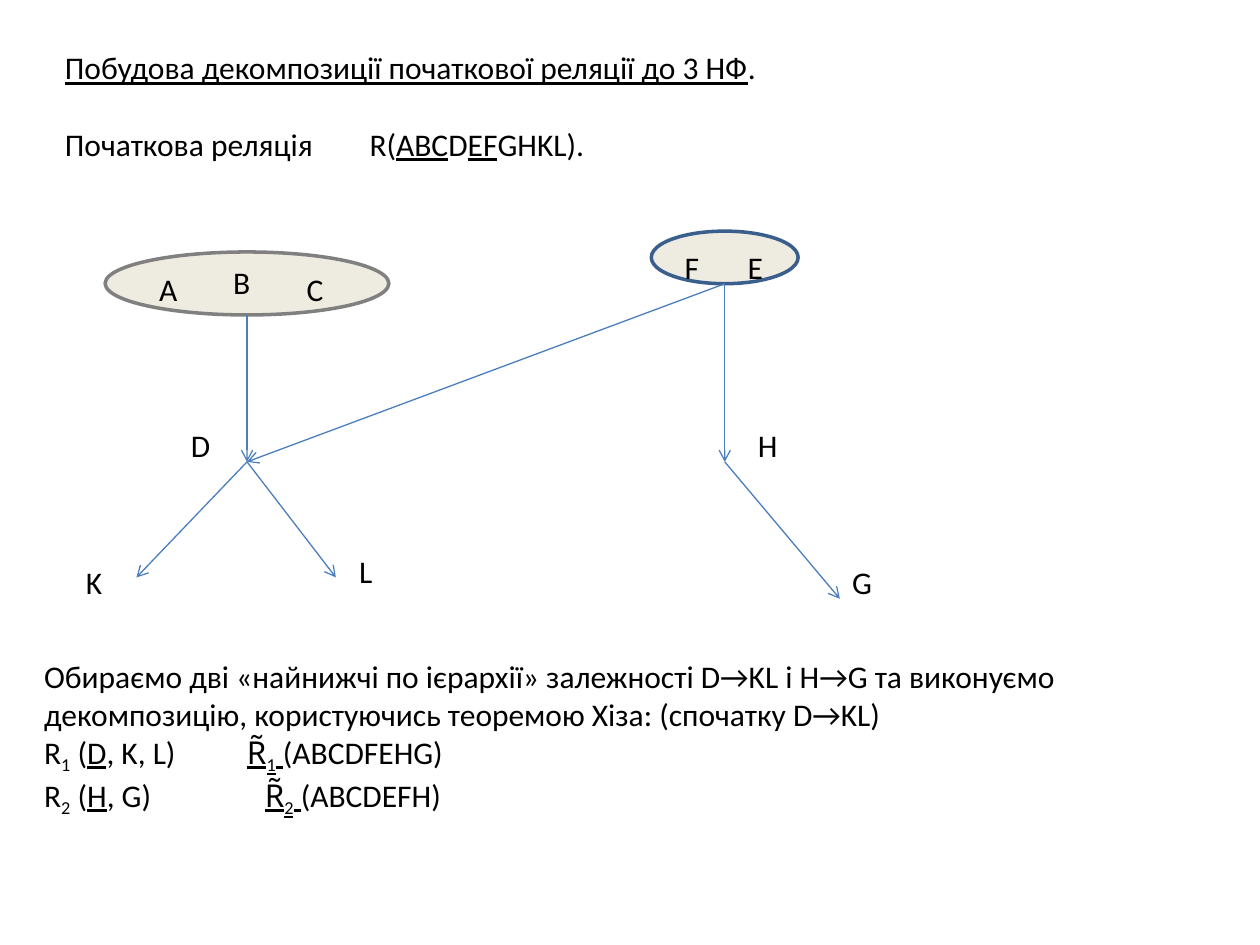
"""Builds the slide on decomposing a relation to the third normal form."""
from lxml.etree import SubElement
from pptx import Presentation
from pptx.dml.color import RGBColor
from pptx.enum.shapes import MSO_CONNECTOR as Connector, MSO_SHAPE as Shape
from pptx.enum.text import MSO_AUTO_SIZE as AutoSize
from pptx.oxml.ns import qn
from pptx.util import Cm, Pt

BLACK = RGBColor(0x00, 0x00, 0x00)
CREAM = RGBColor(0xEE, 0xEC, 0xE1)
GRAY = RGBColor(0x80, 0x80, 0x80)
NAVY = RGBColor(0x3A, 0x5F, 0x8C)
BLUE = RGBColor(0x4B, 0x7E, 0xBC)
FONT = {"name": "Calibri", "size": Pt(18)}

presentation = Presentation()
presentation.slide_width, presentation.slide_height = Cm(25.4), Cm(19.05)
slide = presentation.slides.add_slide(presentation.slide_layouts[6])


def add_text(left, top, width, height, paragraphs):
    box = slide.shapes.add_textbox(Cm(left), Cm(top), Cm(width), Cm(height))
    frame = box.text_frame
    frame.word_wrap = True
    frame.auto_size = AutoSize.SHAPE_TO_FIT_TEXT
    for index, (runs, space, tab) in enumerate(paragraphs):
        paragraph = frame.add_paragraph() if index else frame.paragraphs[0]
        paragraph.space_before = Pt(space)
        if tab:
            tabs = SubElement(paragraph._p.get_or_add_pPr(), qn("a:tabLst"))
            SubElement(tabs, qn("a:tab"), pos=str(Cm(tab)), algn="l")
        for text, style in runs:
            run = paragraph.add_run()
            run.text = text
            for name, value in FONT.items():
                setattr(run.font, name, value)
            run.font.color.rgb = BLACK
            if "underline" in style:
                run.font.underline = True
            if "subscript" in style:
                run.font._element.set("baseline", "-25000")


def decomposition(number, key, rest, remainder, tab):
    runs = [
        ("R", ""), (number, "subscript"), (" (", ""), (key, "underline"),
        (f"{rest})\t", ""), ("R\u0303", "underline"),
        (number, "underline subscript"), (" ", "underline"), (remainder, ""),
    ]
    return runs, 0, tab


title = [("Побудова декомпозиції початкової реляції до 3 НФ", "underline"), (".", "")]
relation = [
    ("Початкова реляція\tR(", ""), ("ABC", "underline"), ("D", ""),
    ("EF", "underline"), ("GHKL).", ""),
]
add_text(1.06, 0.85, 23.5, 2.56, [(title, 0, None), (relation, 22, 6.14)])

for left, top, width, height, color in [
    (2.12, 5.08, 5.72, 1.27, GRAY),
    (13.13, 4.66, 2.96, 1.06, NAVY),
]:
    key_ellipse = slide.shapes.add_shape(
        Shape.OVAL, Cm(left), Cm(top), Cm(width), Cm(height))
    key_ellipse.shadow.inherit = False
    key_ellipse.fill.solid()
    key_ellipse.fill.fore_color.rgb = CREAM
    key_ellipse.line.color.rgb = color
    key_ellipse.line.width = Pt(2)

points = {
    "ABC": (4.98, 6.35), "FE": (14.61, 5.72), "D": (4.98, 9.31),
    "H": (14.61, 9.31), "K": (2.75, 11.64), "L": (6.77, 11.64), "G": (16.93, 12.07),
}
for start, end in [
    ("ABC", "D"), ("FE", "D"), ("FE", "H"), ("H", "G"), ("D", "K"), ("D", "L"),
]:
    ends = [Cm(value) for value in points[start] + points[end]]
    arrow = slide.shapes.add_connector(Connector.STRAIGHT, *ends)
    arrow.line.color.rgb = BLUE
    arrow.line.width = Pt(0.75)
    SubElement(arrow.line._get_or_add_ln(), qn("a:tailEnd"), type="arrow")
    SubElement(arrow._element.spPr, qn("a:effectLst"))

for letter, left, top, width in [
    ("A", 2.96, 5.31, 0.85), ("B", 4.45, 5.18, 0.85), ("C", 5.93, 5.31, 0.85),
    ("F", 13.55, 4.87, 0.64), ("E", 14.82, 4.87, 0.85),
    ("D", 3.6, 8.47, 0.85), ("H", 15.03, 8.47, 1.06),
    ("K", 1.48, 11.22, 1.06), ("L", 6.99, 11.01, 0.85), ("G", 16.93, 11.22, 1.06),
]:
    add_text(left, top, width, 1.02, [([(letter, "")], 0, None)])

explanation = (
    "Обираємо дві «найнижчі по ієрархії» залежності D→KL і H→G та виконуємо "
    "декомпозицію, користуючись теоремою Хіза: (спочатку D→KL)"
)
add_text(0.64, 13.12, 24.34, 4.11, [
    ([(explanation, "")], 0, None),
    decomposition("1", "D", ", K, L", "(ABCDFEHG)", 4.09),
    decomposition("2", "H", ", G", "(ABCDEFH)", 4.45),
])

presentation.save("out.pptx")
